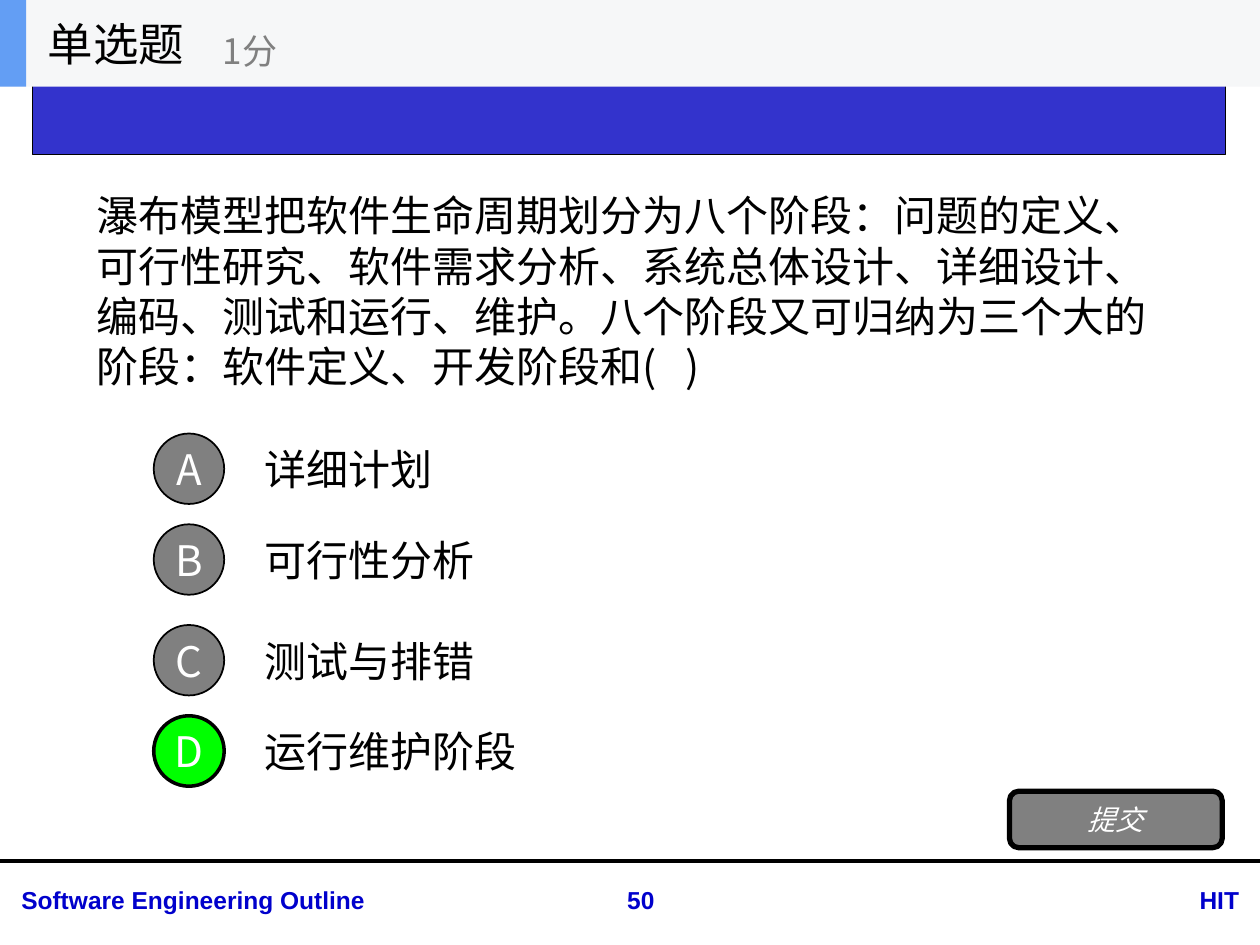
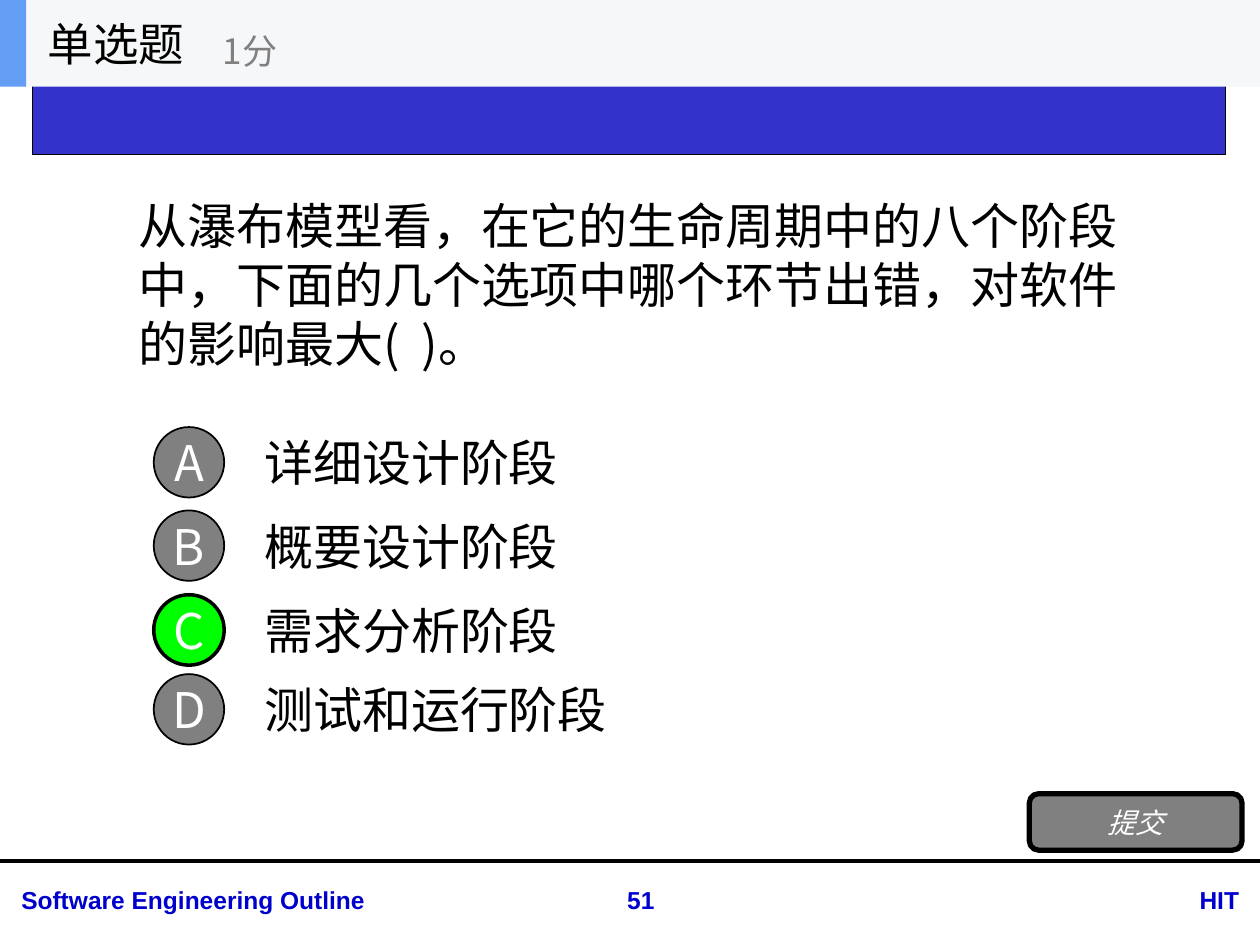
"""Build two single-choice quiz slides with a shared header, band and footer."""
from lxml import etree
from pptx import Presentation
from pptx.dml.color import RGBColor
from pptx.enum import shapes as sh, text as t
from pptx.oxml.ns import qn
from pptx.util import Cm, Pt

BLACK = RGBColor(0x00, 0x00, 0x00)
WHITE = RGBColor(0xFF, 0xFF, 0xFF)
GRAY = RGBColor(0x80, 0x80, 0x80)
GREEN = RGBColor(0x00, 0xFF, 0x00)
BAND_BLUE = RGBColor(0x33, 0x33, 0xCC)
FOOTER_BLUE = RGBColor(0x00, 0x00, 0xCC)
HEADER_GRAY = RGBColor(0xF6, 0xF7, 0xF8)
ACCENT_BLUE = RGBColor(0x63, 0x9E, 0xF4)

CJK = "Noto Sans CJK SC"
LEFT, CENTER, RIGHT = t.PP_ALIGN.LEFT, t.PP_ALIGN.CENTER, t.PP_ALIGN.RIGHT
WIDTH, HEIGHT = 25.4, 19.05
CIRCLE = 1.42

QUESTIONS = [
    dict(
        stem="瀑布模型把软件生命周期划分为八个阶段：问题的定义、可行性研究、软件需求分析、"
             "系统总体设计、详细设计、编码、测试和运行、维护。八个阶段又可归纳为三个大的阶段："
             "软件定义、开发阶段和(   )",
        stem_box=(1.7, 3.1, 22.25, 5.51),
        options=["详细计划", "可行性分析", "测试与排错", "运行维护阶段"],
        tops=[8.56, 10.39, 12.42, 14.25],
        answer="D", size=24, submit_box=(20.35, 15.95, 4.29, 1.14),
    ),
    dict(
        stem="从瀑布模型看，在它的生命周期中的八个阶段中，下面的几个选项中哪个环节出错，"
             "对软件的影响最大(  )。",
        stem_box=(2.54, 3.73, 20.32, 3.99),
        options=["详细设计阶段", "概要设计阶段", "需求分析阶段", "测试和运行阶段"],
        tops=[8.43, 10.11, 11.81, 13.41],
        answer="C", size=28, submit_box=(20.75, 16.0, 4.29, 1.14),
    ),
]


def write(sp, content, size, color, align=LEFT, font=CJK, wrap=True, **style):
    """Put one formatted, vertically centred paragraph into a shape."""
    tf = sp.text_frame
    frame = dict(word_wrap=wrap, auto_size=t.MSO_AUTO_SIZE.NONE,
                 vertical_anchor=t.MSO_ANCHOR.MIDDLE)
    for name, value in frame.items():
        setattr(tf, name, value)
    p = tf.paragraphs[0]
    p.alignment, p.space_before = align, Pt(0)
    r = p.add_run()
    r.text = content
    for name, value in dict(size=Pt(size), name=font, **style).items():
        setattr(r.font, name, value)
    r.font.color.rgb = color
    latin = r.font._element.find(qn("a:latin"))
    ea = etree.Element(qn("a:ea"), typeface=font)
    latin.addnext(ea)


def add_block(s, kind, box, fill, line=0):
    """Add a flat preset shape with an optional black outline."""
    sp = s.shapes.add_shape(kind, *map(Cm, box))
    sp.shadow.inherit = False
    sp.fill.solid()
    sp.fill.fore_color.rgb = fill
    if line:
        sp.line.color.rgb, sp.line.width = BLACK, Pt(line)
    else:
        sp.line.fill.background()
    return sp


def add_label(s, box, *args, **style):
    """Add a text box holding one formatted paragraph."""
    write(s.shapes.add_textbox(*map(Cm, box)), *args, **style)


def move(sp, box):
    """Place a placeholder in a box and bring it to the front."""
    for name, value in zip(("left", "top", "width", "height"), box):
        setattr(sp, name, Cm(value))
    sp.element.getparent().append(sp.element)


def add_header(s, box):
    """Draw the question type and its points on the top strip."""
    x, y, w, h = box
    add_block(s, sh.MSO_SHAPE.RECTANGLE, box, HEADER_GRAY)
    add_block(s, sh.MSO_SHAPE.RECTANGLE, (x, y, 0.53, h), ACCENT_BLUE)
    move(s.shapes.title, (x + 0.71, y, 5.28, h))
    write(s.shapes.title, "单选题", 26, BLACK)
    add_label(s, (x + 4.24, y + 0.3, 6.35, 1.42), "1分", 20, GRAY)


def add_footer(s, box, number):
    """Draw the rule with the course, page number and school below it."""
    x, y, w, h = box
    rule = s.shapes.add_connector(sh.MSO_CONNECTOR.STRAIGHT,
                                  Cm(x), Cm(y), Cm(x + w), Cm(y))
    rule.line.color.rgb, rule.line.width = BLACK, Pt(2.25)
    etree.SubElement(rule.element.spPr, qn("a:effectLst"))
    columns = [(0.18, 9.78, "Software Engineering Outline", LEFT),
               (11.61, 2.62, str(number), CENTER),
               (22.61, 2.62, "HIT", RIGHT)]
    for left, width, content, align in columns:
        add_label(s, (x + left, y + 0.35, width, 0.86), content, 14,
                  FOOTER_BLUE, align, "Arial", bold=True)


def add_stem(s, box, content, size):
    """Fill the body placeholder with the unbulleted question."""
    body = s.placeholders[1]
    move(body, box)
    pPr = body.text_frame.paragraphs[0]._p.get_or_add_pPr()
    pPr.set("marL", "0")
    pPr.set("indent", "0")
    etree.SubElement(pPr, qn("a:buNone"))
    write(body, content, size, BLACK)


def add_option(s, box, letter, content, size, correct):
    """Draw a lettered circle and its answer text."""
    x, y, w, h = box
    circle = add_block(s, sh.MSO_SHAPE.OVAL,
                       (x, y + (h - CIRCLE) / 2, CIRCLE, CIRCLE),
                       GREEN if correct else GRAY, 2 if correct else 1)
    write(circle, letter, size, WHITE, CENTER, wrap=False)
    add_label(s, (x + 1.98, y, w - 1.98, h), content, size, BLACK)


def add_question(prs, number, question):
    """Build one single-choice slide."""
    s = prs.slides.add_slide(prs.slide_layouts[1])
    size = question["size"]
    add_block(s, sh.MSO_SHAPE.RECTANGLE, (0.66, 0.81, 24.05, 2.31), BAND_BLUE, 0.75)
    add_footer(s, (0, 17.35, WIDTH, 1.7), number)
    add_stem(s, question["stem_box"], question["stem"], size)
    for letter, content, top in zip("ABCD", question["options"], question["tops"]):
        add_option(s, (3.1, top, 19.76, 1.78), letter, content, size,
                   letter == question["answer"])
    submit = add_block(s, sh.MSO_SHAPE.ROUNDED_RECTANGLE, question["submit_box"], GRAY, 3)
    write(submit, "提交", 16, WHITE, CENTER, wrap=False, italic=True)
    add_header(s, (0, 0, WIDTH, 1.75))


def main():
    """Create and save the presentation."""
    prs = Presentation()
    prs.slide_width, prs.slide_height = Cm(WIDTH), Cm(HEIGHT)
    for number, question in enumerate(QUESTIONS, start=50):
        add_question(prs, number, question)
    prs.save("out.pptx")


if __name__ == "__main__":
    main()
